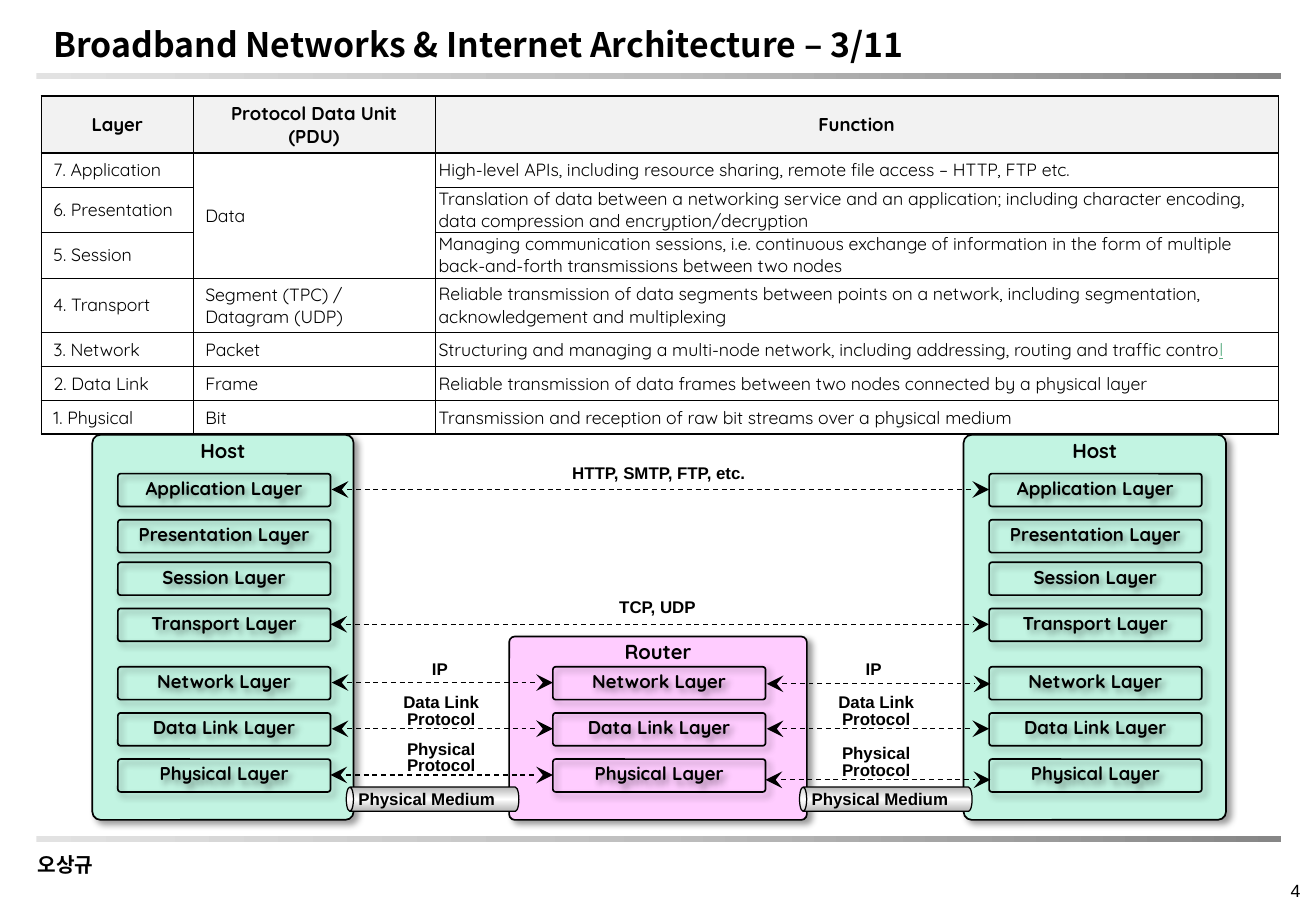
import pptx
import pptx.util
import pptx.dml.color
import pptx.enum.dml
import pptx.enum.shapes
import pptx.enum.text
import pptx.oxml
import pptx.oxml.ns

Inches = pptx.util.Inches
Pt = pptx.util.Pt
RGBColor = pptx.dml.color.RGBColor
Align = pptx.enum.text.PP_ALIGN
Anchor = pptx.enum.text.MSO_ANCHOR
Preset = pptx.enum.shapes.MSO_SHAPE

BLACK = RGBColor(0, 0, 0)
MINT = RGBColor(0xC2, 0xF4, 0xE2)
PINK = RGBColor(0xFF, 0xCC, 0xFF)
HEADER_GREY = RGBColor(0xF2, 0xF2, 0xF2)
GREEN = RGBColor(0x5B, 0xAD, 0x82)
BAR_GREYS = ("E2E2E2", "BEBEBE", "868686")
PIPE_GREYS = ("B6B6B6", "FFFFFF", "B6B6B6")
KOREAN, ROUND, PLAIN = "Noto Sans CJK KR", "Quicksand", "Arial"

TITLE = "Broadband Networks & Internet Architecture – 3/11"
AUTHOR = "오상규"
PAGE = "4"

COLUMNS = (1.25, 1.99, 6.94)
ROW_HEIGHTS = (0.47, 0.28, 0.37, 0.38, 0.45, 0.28, 0.28, 0.27)
OSI_ROWS = [
    ("Layer", "Protocol Data Unit (PDU)", "Function"),
    ("7. Application", "Data",
     "High-level APIs, including resource sharing, remote file access – HTTP, FTP etc."),
    ("6. Presentation", "",
     "Translation of data between a networking service and an application; "
     "including character encoding, data compression and encryption/decryption"),
    ("5. Session", "",
     "Managing communication sessions, i.e. continuous exchange of information "
     "in the form of multiple back-and-forth transmissions between two nodes"),
    ("4. Transport", "Segment (TPC) / Datagram (UDP)",
     "Reliable transmission of data segments between points on a network, "
     "including segmentation, acknowledgement and multiplexing"),
    ("3. Network", "Packet",
     "Structuring and managing a multi-node network, including addressing, "
     "routing and traffic contro"),
    ("2. Data Link", "Frame",
     "Reliable transmission of data frames between two nodes connected by a physical layer"),
    ("1. Physical", "Bit",
     "Transmission and reception of raw bit streams over a physical medium"),
]

LAYER_TOPS = {"Application": 3.9, "Presentation": 4.28, "Session": 4.63, "Transport": 5.01,
              "Network": 5.49, "Data Link": 5.87, "Physical": 6.25}
LAYERS = list(LAYER_TOPS)
LAYER_WIDTH, LAYER_HEIGHT = 1.75, 0.27
STACK_BOTTOM = 6.75
# name, left, top, width, left of layers, layers, colour
STACKS = [
    ("Host", 0.76, 3.58, 2.15, 0.97, LAYERS, MINT),
    ("Router", 4.19, 5.24, 2.45, 4.55, LAYERS[4:], PINK),
    ("Host", 7.93, 3.58, 2.16, 8.14, LAYERS, MINT),
]
PIPE_LEFTS = (2.85, 6.58)
# label, box left, top, width, line spacing, arrow start, arrow end, arrow height
PROTOCOLS = [
    ("HTTP, SMTP, FTP, etc.", 4.33, 3.78, 2.18, 0.9, 2.73, 8.14, 4.03),
    ("TCP, UDP", 4.32, 4.88, 2.18, 0.9, 2.72, 8.14, 5.14),
    ("IP", 3.39, 5.39, 0.46, 0.9, 2.73, 4.55, 5.62),
    ("IP", 6.96, 5.39, 0.46, 0.9, 6.31, 8.15, 5.63),
    ("Data Link Protocol", 3.14, 5.68, 0.98, 0.8, 2.73, 4.55, 6),
    ("Data Link Protocol", 6.72, 5.68, 0.98, 0.8, 6.31, 8.14, 6),
    ("Physical Protocol", 3.14, 6.06, 0.98, 0.8, 2.72, 4.55, 6.38),
    ("Physical Protocol", 6.72, 6.1, 0.98, 0.8, 6.3, 8.15, 6.42),
]


def xml(tag, inner="", attributes=""):
    return pptx.oxml.parse_xml(
        f'<a:{tag} {pptx.oxml.ns.nsdecls("a")} {attributes}>{inner}</a:{tag}>')


def write(frame, text, font, size, bold=True, align=Align.LEFT, spacing=None,
          anchor=Anchor.TOP, insets=None, wrap=True):
    frame.text = text
    frame.word_wrap = wrap
    frame.vertical_anchor = anchor
    if insets:
        frame.margin_left = frame.margin_right = Inches(insets[0])
        frame.margin_top = frame.margin_bottom = Inches(insets[1])
    paragraph = frame.paragraphs[0]
    paragraph.alignment = align
    if spacing:
        paragraph.line_spacing = spacing
    for run in paragraph.runs:
        style(run, font, size, bold)


def style(run, font, size, bold, color=BLACK):
    run.font.name, run.font.size, run.font.bold = font, Pt(size), bold
    run.font.color.rgb = color
    if font == KOREAN:
        run.font._element.append(xml("ea", attributes=f'typeface="{font}"'))


def add_label(slide, box, text, font, size, **options):
    label = slide.shapes.add_textbox(*map(Inches, box))
    write(label.text_frame, text, font, size, **options)


def add_block(slide, preset, box, line_width=None):
    block = slide.shapes.add_shape(preset, *map(Inches, box))
    block.shadow.inherit = False
    if line_width:
        block.line.color.rgb = BLACK
        block.line.width = Pt(line_width)
    else:
        block.line.fill.background()
    return block


def fill_gradient(block, colors):
    """Fill with evenly spaced stops running left to right."""
    stops = "".join(f'<a:gs pos="{i * 50000}"><a:srgbClr val="{color}"/></a:gs>'
                    for i, color in enumerate(colors))
    block.fill.background()
    properties = block._element.spPr
    blank = properties.find(pptx.oxml.ns.qn("a:noFill"))
    properties.replace(blank, xml("gradFill", f'<a:gsLst>{stops}</a:gsLst><a:lin ang="0"/>',
                                  'rotWithShape="1"'))


def add_shadowed_box(slide, box, corner, color=None):
    block = add_block(slide, Preset.ROUNDED_RECTANGLE, box, 1)
    block.adjustments[0] = corner
    if color is None:
        block.fill.background()
    else:
        block.fill.solid()
        block.fill.fore_color.rgb = color
    effects = block._element.spPr.find(pptx.oxml.ns.qn("a:effectLst"))
    effects.append(xml("outerShdw", '<a:srgbClr val="000000"><a:alpha val="40000"/></a:srgbClr>',
                       f'blurRad="{Pt(4)}" dist="{Pt(3)}" dir="2700000" '
                       'algn="tl" rotWithShape="0"'))
    return block


def add_stack(slide, name, left, top, width, layer_left, layers, color):
    body = add_shadowed_box(slide, (left, top, width, STACK_BOTTOM - top), 0.031, color)
    write(body.text_frame, name, ROUND, 12, align=Align.CENTER, insets=(0.01, 0.01))
    for layer in layers:
        box = (layer_left, LAYER_TOPS[layer], LAYER_WIDTH, LAYER_HEIGHT)
        write(add_shadowed_box(slide, box, 0.086).text_frame, f"{layer} Layer", ROUND, 11,
              align=Align.CENTER, spacing=0.8, anchor=Anchor.MIDDLE, insets=(0.01, 0.01))


def add_pipe(slide, left):
    length, thickness, middle = 1.42, 0.2, 6.58
    box = (left + (length - thickness) / 2, middle - length / 2, thickness, length)
    pipe = add_block(slide, Preset.CAN, box, 0.75)
    pipe.adjustments[0] = 0.295
    pipe.rotation = 90
    pipe._element.spPr.xfrm.set("flipV", "1")
    fill_gradient(pipe, PIPE_GREYS)
    write(pipe.text_frame, "Physical Medium ", PLAIN, 10, align=Align.CENTER,
          anchor=Anchor.MIDDLE, insets=(0.08, 0.04), wrap=False)
    pipe._element.txBody.bodyPr.set("vert", "eaVert")


def add_arrow(slide, start, end, height):
    arrow = slide.shapes.add_connector(pptx.enum.shapes.MSO_CONNECTOR.STRAIGHT,
                                       *map(Inches, (start, height, end, height)))
    arrow.line.color.rgb = BLACK
    arrow.line.width = Pt(0.75)
    arrow.line.dash_style = pptx.enum.dml.MSO_LINE.DASH
    for tip in ("headEnd", "tailEnd"):
        arrow.line._ln.append(xml(tip, attributes='type="stealth" w="lg" len="lg"'))
    arrow._element.spPr.append(xml("effectLst"))


def add_osi_table(slide):
    last_row, last_column = len(OSI_ROWS) - 1, len(COLUMNS) - 1
    table = slide.shapes.add_table(len(OSI_ROWS), len(COLUMNS), Inches(0.34), Inches(0.79),
                                   Inches(sum(COLUMNS)), Inches(sum(ROW_HEIGHTS))).table
    table.first_row = table.horz_banding = False
    for column, width in zip(table.columns, COLUMNS):
        column.width = Inches(width)
    for r, texts in enumerate(OSI_ROWS):
        table.rows[r].height = Inches(ROW_HEIGHTS[r])
        for c, text in enumerate(texts):
            cell, header = table.cell(r, c), r == 0
            write(cell.text_frame, text, ROUND, 11 if header else 10.5, bold=header,
                  align=Align.CENTER if header else Align.LEFT)
            cell.vertical_anchor = Anchor.MIDDLE
            if c == last_column and not header:
                cell.margin_left = cell.margin_right = Inches(0.03)
                cell.margin_top = cell.margin_bottom = Inches(0.01)
            heavy = {"lnL": c == 0, "lnR": c == last_column, "lnT": r < 2,
                     "lnB": r in (0, last_row)}
            for side, thick in heavy.items():
                cell._tc.get_or_add_tcPr().append(
                    xml(side, '<a:solidFill><a:srgbClr val="000000"/></a:solidFill>',
                        f'w="{Pt(1 if thick else 0.5)}"'))
            if header:
                cell.fill.solid()
                cell.fill.fore_color.rgb = HEADER_GREY
            else:
                cell.fill.background()
    table.cell(1, 1).merge(table.cell(3, 1))
    last_letter = table.cell(5, 2).text_frame.paragraphs[0].add_run()
    last_letter.text = "l"
    style(last_letter, ROUND, 10.5, False, GREEN)
    last_letter.font.underline = True


def main():
    deck = pptx.Presentation()
    deck.slide_width, deck.slide_height = Inches(10.83), Inches(7.5)
    slide = deck.slides.add_slide(deck.slide_layouts[5])

    for top in (0.6, 6.88):
        fill_gradient(add_block(slide, Preset.RECTANGLE, (0.3, top, 10.24, 0.05)), BAR_GREYS)
    title = slide.shapes.title
    title.left, title.top, title.width, title.height = map(Inches, (0.34, 0.17, 9.75, 0.39))
    write(title.text_frame, TITLE, KOREAN, 20, anchor=Anchor.MIDDLE)
    title.text_frame.auto_size = pptx.enum.text.MSO_AUTO_SIZE.NONE
    add_label(slide, (0.29, 7.04, 0.54, 0.19), AUTHOR, KOREAN, 12, spacing=0.8,
              anchor=Anchor.MIDDLE, insets=(0.02, 0.01), wrap=False)
    add_label(slide, (10.28, 7.07, 0.52, 0.4), PAGE, PLAIN, 10.5, bold=False,
              align=Align.RIGHT, anchor=Anchor.BOTTOM)

    for stack in STACKS:
        add_stack(slide, *stack)
    for left in PIPE_LEFTS:
        add_pipe(slide, left)
    for label, left, top, width, spacing, start, end, height in PROTOCOLS:
        add_label(slide, (left, top, width, 0.25), label, PLAIN, 10,
                  align=Align.CENTER, spacing=spacing)
        add_arrow(slide, start, end, height)
    add_osi_table(slide)
    deck.save("out.pptx")


if __name__ == "__main__":
    main()
